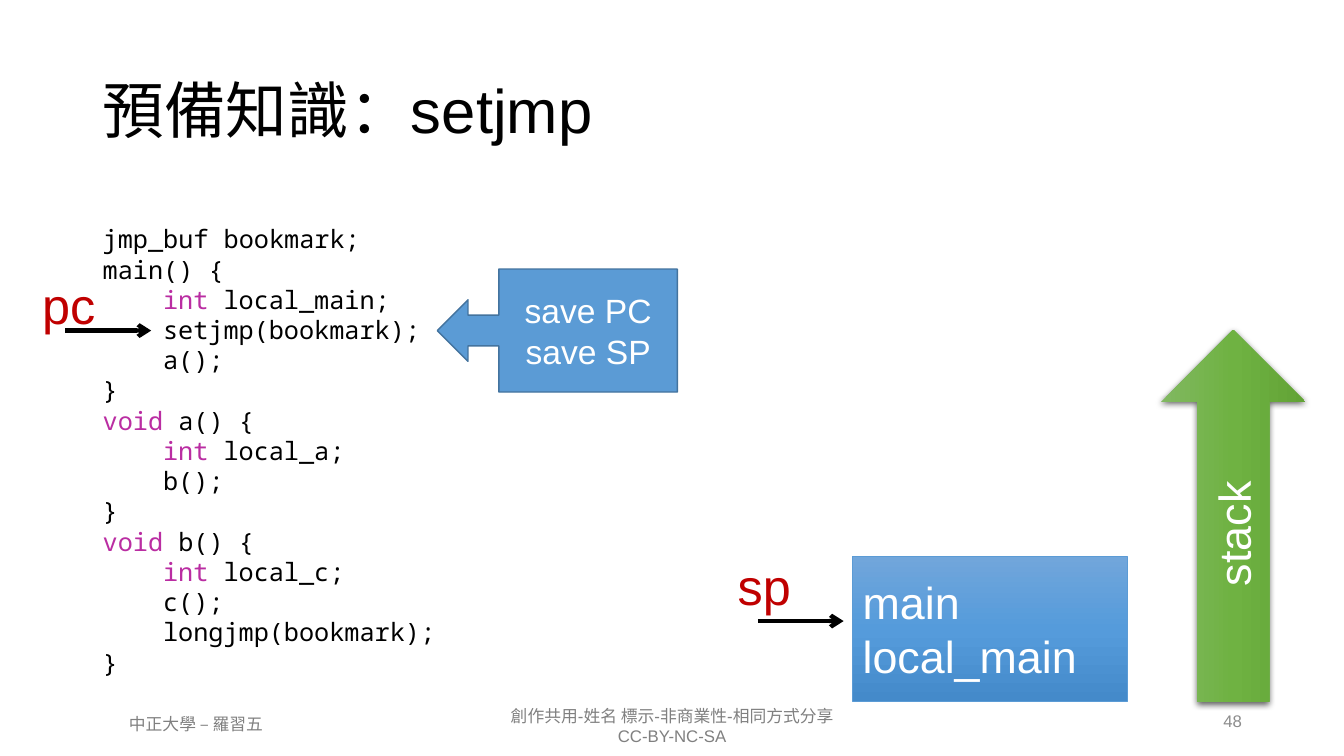
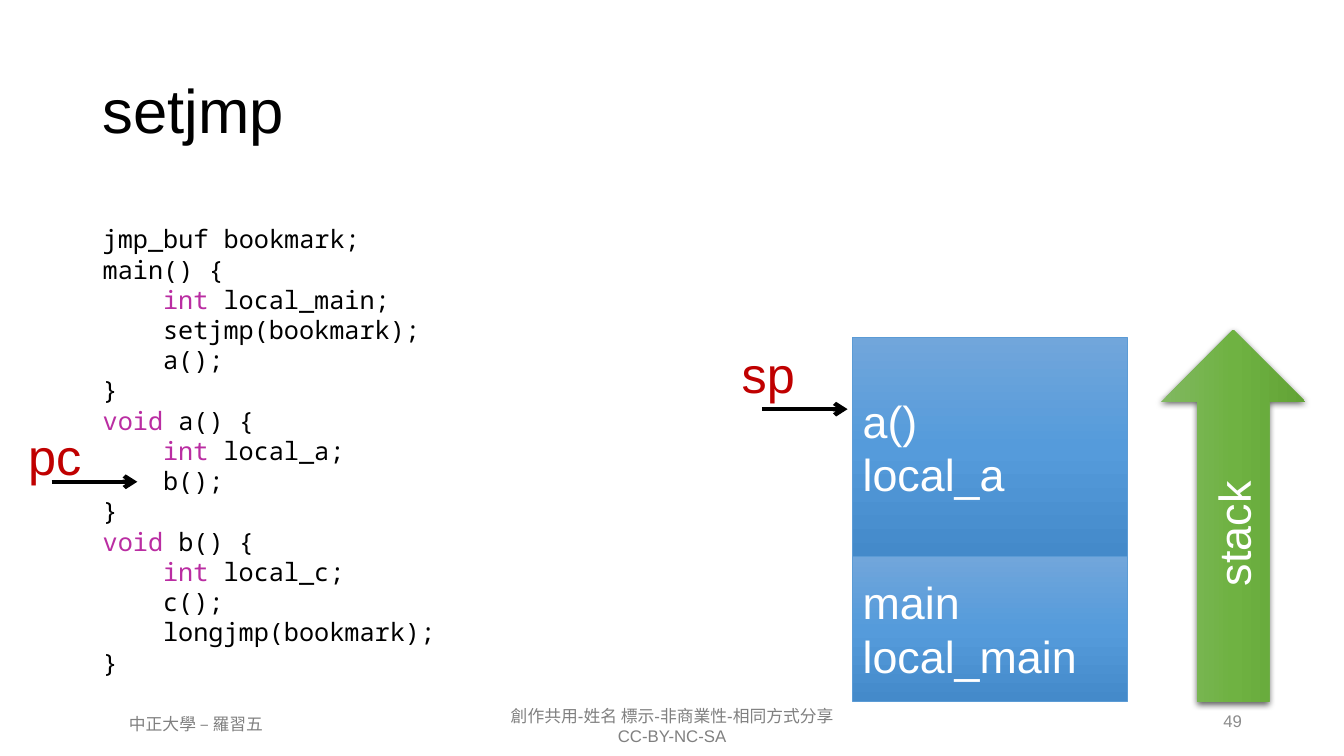
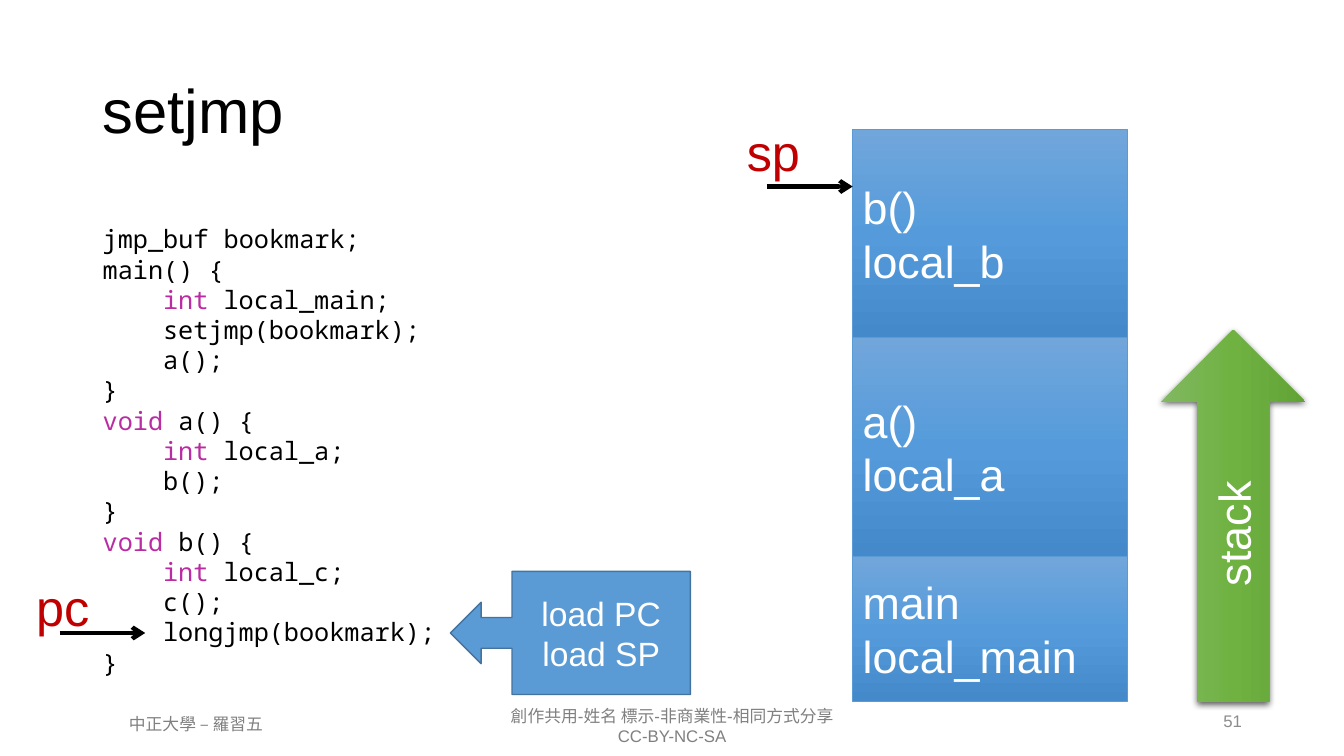
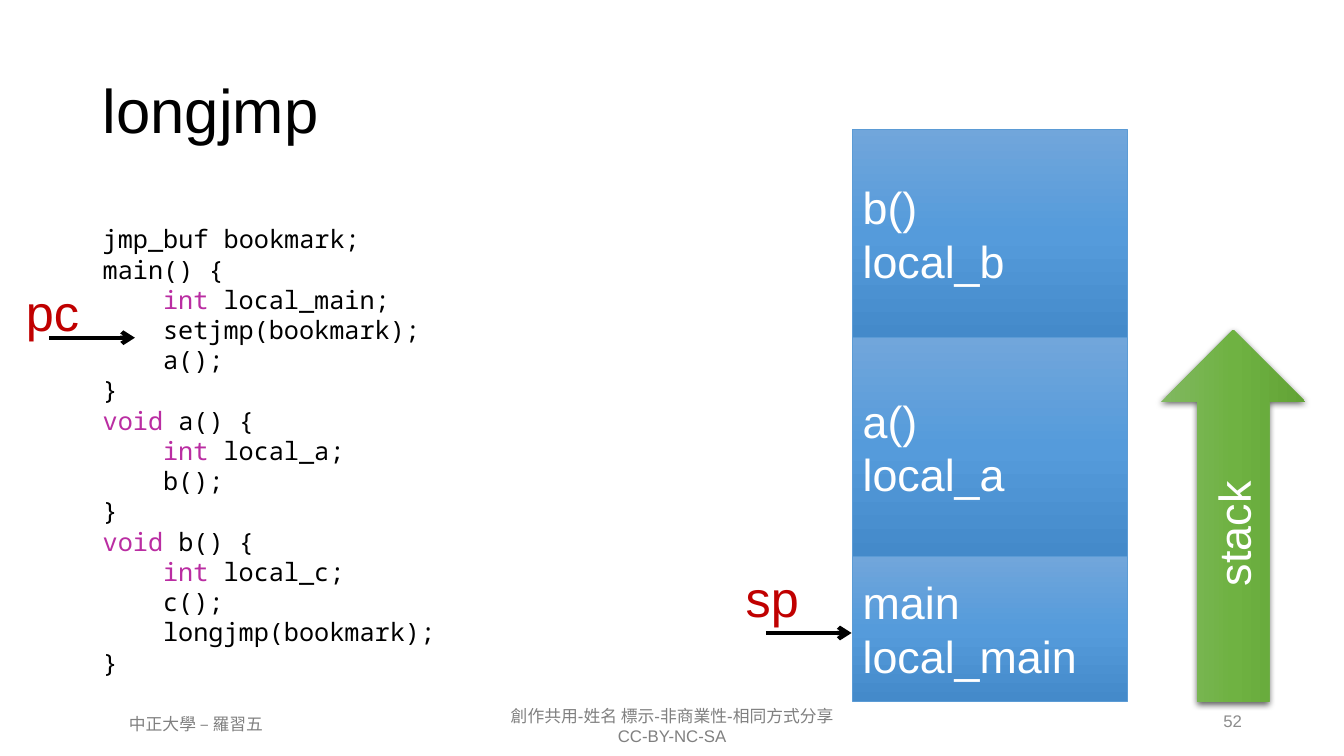
from lxml import etree
from pptx import Presentation
from pptx.dml.color import RGBColor
from pptx.enum import shapes, text
from pptx.oxml import ns
from pptx.util import Cm, Pt

BLACK = RGBColor(0x00, 0x00, 0x00)
WHITE = RGBColor(0xFF, 0xFF, 0xFF)
RED = RGBColor(0xC0, 0x00, 0x00)
PURPLE = RGBColor(0xBA, 0x2D, 0xA2)
FOOTER_GRAY = RGBColor(0x80, 0x80, 0x80)
NUMBER_GRAY = RGBColor(0x8C, 0x8C, 0x8C)
BLUE = RGBColor(0x5B, 0x9B, 0xD5)
DARK_BLUE = RGBColor(0x43, 0x73, 0x9E)
BLUE_GRADIENT = [RGBColor(0x71, 0xA6, 0xDB), RGBColor(0x55, 0x9B, 0xDB), RGBColor(0x44, 0x8A, 0xCA)]
GREEN_GRADIENT = [RGBColor(0x81, 0xB8, 0x61), RGBColor(0x6F, 0xB2, 0x42), RGBColor(0x62, 0xA3, 0x36)]

SANS = "Arial"
MONO = "Noto Sans Mono"
LEFT, CENTER, RIGHT = text.PP_ALIGN.LEFT, text.PP_ALIGN.CENTER, text.PP_ALIGN.RIGHT
MIDDLE = text.MSO_ANCHOR.MIDDLE

CODE_INDENT = Cm(1.52)
CODE = [
    (0, "", "jmp_buf bookmark;"),
    (0, "", "main() {"),
    (1, "int ", "local_main;"),
    (1, "", "setjmp(bookmark);"),
    (1, "", "a();"),
    (0, "", "}"),
    (0, "void", " a() {"),
    (1, "int ", "local_a;"),
    (1, "", "b();"),
    (0, "", "}"),
    (0, "void", " b() {"),
    (1, "int ", "local_c;"),
    (1, "", "c();"),
    (1, "", "longjmp(bookmark);"),
    (0, "", "}"),
]

STACK_BOTTOM = 17.68
FRAMES = [
    (14.02, ["main", "local_main"]),
    (8.51, ["a()", "local_a"]),
    (3.25, ["b()", "local_b"]),
]

PC_LABEL_OFFSET = (-0.84, -1.55)
SP_LABEL_OFFSET = (-0.76, -1.78)

SLIDES = [
    dict(title="預備知識：setjmp", number=48, depth=1, pc=(1.65, 8.33), sp=(19.1, 15.65),
         callout=(11.02, 6.78, ["save PC", "save SP"])),
    dict(title="setjmp", number=49, depth=2, pc=(1.3, 12.14), sp=(19.2, 10.31)),
    dict(title="setjmp", number=51, depth=3, pc=(1.5, 15.95), sp=(19.33, 4.7),
         callout=(11.35, 14.4, ["load PC", "load SP"])),
    dict(title="longjmp", number=52, depth=3, pc=(1.24, 8.51), sp=(19.3, 15.95)),
]


def add_run(p, content, size, color, font=SANS):
    r = p.add_run()
    r.text = content
    r.font.size = Pt(size)
    r.font.name = font
    r.font.color.rgb = color


def next_paragraph(tf, index):
    return tf.add_paragraph() if index else tf.paragraphs[0]


def write_lines(tf, lines, size, color, align=LEFT):
    for i, line in enumerate(lines):
        p = next_paragraph(tf, i)
        p.alignment = align
        add_run(p, line, size, color)


def add_box(s, x, y, w, h, anchor=None, wrap=True):
    tf = s.shapes.add_textbox(Cm(x), Cm(y), Cm(w), Cm(h)).text_frame
    tf.word_wrap = wrap
    if anchor is not None:
        tf.vertical_anchor = anchor
    return tf


def add_preset(s, kind, x, y, w, h, lines, size, align):
    shape = s.shapes.add_shape(kind, Cm(x), Cm(y), Cm(w), Cm(h))
    shape.shadow.inherit = False
    tf = shape.text_frame
    tf.word_wrap = True
    tf.vertical_anchor = MIDDLE
    write_lines(tf, lines, size, WHITE, align)
    return shape


def set_outline(shape, color, width):
    shape.line.color.rgb = color
    shape.line.width = Pt(width)


def add_element(parent, tag, **attributes):
    return etree.SubElement(parent, ns.qn(tag), {k: str(v) for k, v in attributes.items()})


def set_gradient(shape, colors):
    shape.fill.gradient()
    grad = shape._element.spPr.find(ns.qn("a:gradFill"))
    for child in list(grad):
        grad.remove(child)
    grad.set("rotWithShape", "1")
    stops = add_element(grad, "a:gsLst")
    for i, color in enumerate(colors):
        stop = add_element(stops, "a:gs", pos=i * 100000 // (len(colors) - 1))
        add_element(stop, "a:srgbClr", val=color)
    add_element(grad, "a:lin", ang=90 * 60000, scaled=0)


def set_shadow(shape):
    effects = shape._element.spPr.find(ns.qn("a:effectLst"))
    shadow = add_element(effects, "a:outerShdw", blurRad=Pt(4.5), dist=Pt(1.5),
                         dir=90 * 60000, algn="ctr", rotWithShape=0)
    color = add_element(shadow, "a:srgbClr", val=BLACK)
    add_element(color, "a:alpha", val=63000)


def add_title(s, title):
    tf = add_box(s, 2.34, 1.02, 17.86, 3.68, MIDDLE)
    write_lines(tf, [title], 44, BLACK)
    tf.paragraphs[0].line_spacing = 0.9


def add_footer(s, number):
    license_lines = ["創作共用-姓名 標示-非商業性-相同方式分享", "CC-BY-NC-SA"]
    write_lines(add_box(s, 10.69, 17.65, 12.5, 1.27), license_lines, 12, FOOTER_GRAY, CENTER)
    write_lines(add_box(s, 1.75, 17.86, 6.38, 0.76), ["中正大學 – 羅習五"], 12, FOOTER_GRAY, CENTER)
    write_lines(add_box(s, 23.93, 17.65, 7.62, 1.02, MIDDLE), [str(number)], 12, NUMBER_GRAY, RIGHT)


def add_code(s):
    tf = add_box(s, 2.34, 5.51, 16.94, 11.79)
    for i, (level, keyword, rest) in enumerate(CODE):
        p = next_paragraph(tf, i)
        if level:
            pPr = p._p.get_or_add_pPr()
            pPr.set("marL", str(level * CODE_INDENT))
            pPr.set("indent", "0")
        if keyword:
            add_run(p, keyword, 18, PURPLE, MONO)
        add_run(p, rest, 18, BLACK, MONO)


def add_stack(s, depth):
    bottom = STACK_BOTTOM
    for top, lines in FRAMES[:depth]:
        frame = add_preset(s, shapes.MSO_SHAPE.RECTANGLE, 21.49, top, 6.91, bottom - top, lines, 32, LEFT)
        set_gradient(frame, BLUE_GRADIENT)
        set_outline(frame, BLUE, 0.5)
        bottom = top


def add_growth_arrow(s):
    arrow = add_preset(s, shapes.MSO_SHAPE.RIGHT_ARROW, 26.39, 11.18, 9.37, 3.63, ["stack"], 32, CENTER)
    arrow.rotation = 270
    arrow.line.fill.background()
    set_gradient(arrow, GREEN_GRADIENT)
    set_shadow(arrow)


def add_pointer(s, label, start, offset):
    x, y = start
    line = s.shapes.add_connector(shapes.MSO_CONNECTOR.STRAIGHT, Cm(x), Cm(y), Cm(x + 2.16), Cm(y))
    set_outline(line, BLACK, 3)
    add_element(line.line._get_or_add_ln(), "a:tailEnd", type="arrow")
    add_element(line._element.spPr, "a:effectLst")
    tf = add_box(s, x + offset[0], y + offset[1], 1.85, 1.8, wrap=False)
    write_lines(tf, [label], 36, RED)


def add_callout(s, x, y, lines):
    callout = add_preset(s, shapes.MSO_SHAPE.LEFT_ARROW_CALLOUT, x, y, 6.05, 3.1, lines, 24, CENTER)
    callout.adjustments[3] = 0.743
    callout.fill.solid()
    callout.fill.fore_color.rgb = BLUE
    set_outline(callout, DARK_BLUE, 1)


def build_slide(prs, title, number, depth, pc, sp, callout=None):
    s = prs.slides.add_slide(prs.slide_layouts[6])
    add_footer(s, number)
    add_title(s, title)
    add_stack(s, depth)
    add_code(s)
    add_growth_arrow(s)
    if callout:
        add_callout(s, *callout)
    add_pointer(s, "pc", pc, PC_LABEL_OFFSET)
    add_pointer(s, "sp", sp, SP_LABEL_OFFSET)


def main():
    prs = Presentation()
    prs.slide_width = Cm(33.87)
    prs.slide_height = Cm(19.05)
    for slide in SLIDES:
        build_slide(prs, **slide)
    prs.save("out.pptx")


if __name__ == "__main__":
    main()
